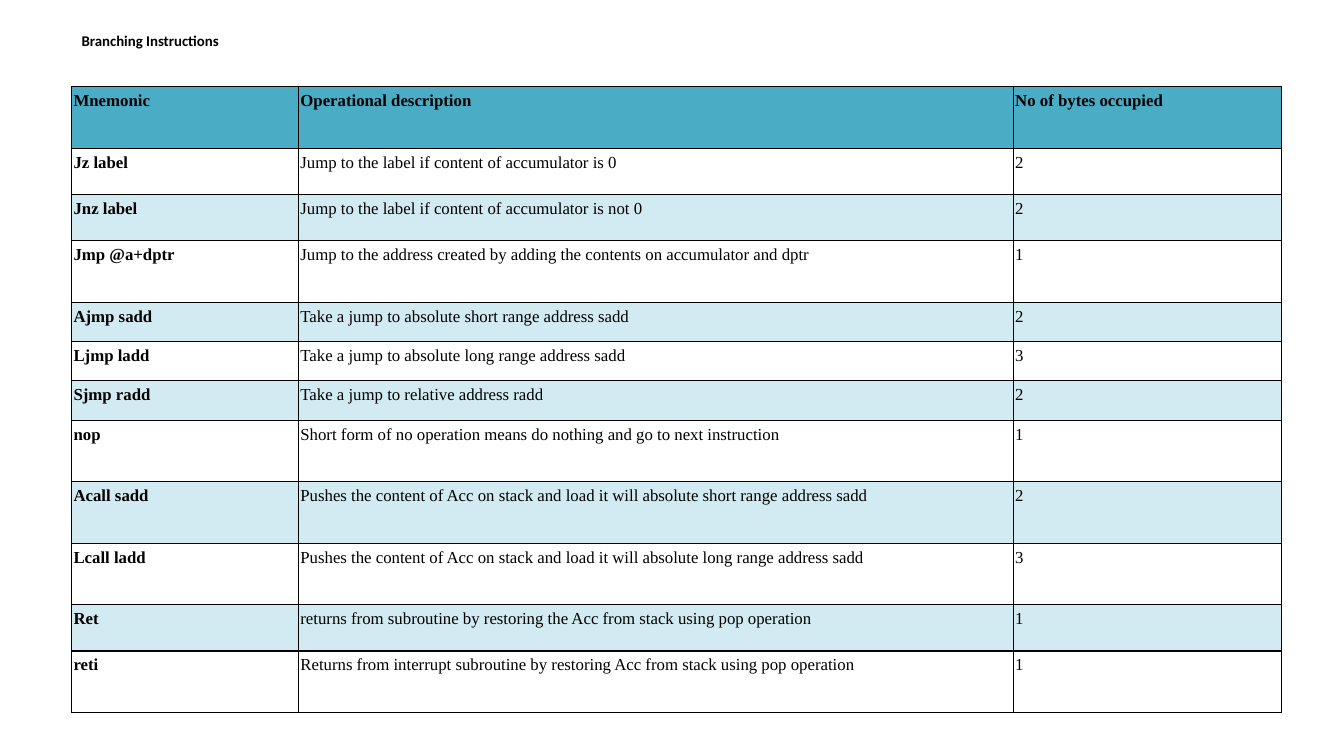
from dataclasses import dataclass

from lxml.etree import SubElement
from pptx import Presentation
from pptx.dml.color import RGBColor
from pptx.enum.text import MSO_ANCHOR, MSO_AUTO_SIZE, PP_ALIGN
from pptx.oxml.ns import qn
from pptx.slide import Slide
from pptx.table import _Cell as Cell
from pptx.text.text import TextFrame
from pptx.util import Inches, Pt


@dataclass(frozen=True)
class Theme:
    ink: str = "000000"
    header: str = "4BACC6"
    band: str = "D2EAF1"
    title_font: str = "Calibri"
    table_font: str = "Times New Roman"
    title_size: float = 10.6
    table_size: float = 12
    border_width: float = 0.96


@dataclass(frozen=True)
class Instruction:
    mnemonic: str
    description: str
    size: str
    height: float


THEME = Theme()
SHORT, MEDIUM, TALL = 0.39, 0.46, 0.61
COLUMN_WIDTHS = (2.25, 7.09, 2.66)
ROWS = (
    Instruction("Mnemonic", "Operational description", "No of bytes occupied", TALL),
    Instruction("Jz label", "Jump to the label if content of accumulator is 0", "2", MEDIUM),
    Instruction("Jnz label", "Jump to the label if content of accumulator is not 0", "2", MEDIUM),
    Instruction("Jmp @a+dptr", "Jump to the address created by adding the contents on accumulator and dptr",
                "1", TALL),
    Instruction("Ajmp sadd", "Take a jump to absolute short range address sadd", "2", SHORT),
    Instruction("Ljmp ladd", "Take a jump to absolute long range address sadd", "3", SHORT),
    Instruction("Sjmp radd", "Take a jump to relative address radd", "2", SHORT),
    Instruction("nop", "Short form of no operation means do nothing and go to next instruction", "1", TALL),
    Instruction("Acall sadd", "Pushes the content of Acc on stack and load it will absolute short range address sadd",
                "2", TALL),
    Instruction("Lcall ladd", "Pushes the content of Acc on stack and load it will absolute long range address sadd",
                "3", TALL),
    Instruction("Ret", "returns from subroutine by restoring the Acc from stack using pop operation", "1", MEDIUM),
    Instruction("reti", "Returns from interrupt subroutine by restoring Acc from stack using pop operation",
                "1", TALL),
)


def write_text(frame: TextFrame, text: str, *, font: str, size: float, bold: bool, align: PP_ALIGN) -> None:
    para = frame.paragraphs[0]
    para.alignment = align
    span = para.add_run()
    span.text = text
    span.font.name = font
    span.font.size = Pt(size)
    span.font.bold = bold
    span.font.color.rgb = RGBColor.from_string(THEME.ink)


def add_borders(cell: Cell) -> None:
    properties = cell._tc.get_or_add_tcPr()
    for side in ("a:lnL", "a:lnR", "a:lnT", "a:lnB"):
        line = SubElement(properties, qn(side), w=str(Pt(THEME.border_width)))
        fill = SubElement(line, qn("a:solidFill"))
        SubElement(fill, qn("a:srgbClr"), val=THEME.ink)


def format_cell(cell: Cell, text: str, *, bold: bool, fill: str | None) -> None:
    add_borders(cell)
    if fill:
        cell.fill.solid()
        cell.fill.fore_color.rgb = RGBColor.from_string(fill)
    else:
        cell.fill.background()
    cell.margin_left = cell.margin_right = Inches(0.02)
    cell.margin_top = cell.margin_bottom = Inches(0.05)
    write_text(cell.text_frame, text, font=THEME.table_font, size=THEME.table_size,
               bold=bold, align=PP_ALIGN.JUSTIFY)


def add_title(page: Slide) -> None:
    box = page.shapes.title
    box.left, box.top, box.width, box.height = map(Inches, (0.71, 0.1, 11.7, 0.77))
    frame = box.text_frame
    frame.word_wrap = True
    frame.auto_size = MSO_AUTO_SIZE.NONE
    frame.vertical_anchor = MSO_ANCHOR.MIDDLE
    frame.margin_left = frame.margin_right = Inches(0.1)
    frame.margin_top, frame.margin_bottom = Inches(0.05), Inches(0.19)
    write_text(frame, "Branching Instructions", font=THEME.title_font, size=THEME.title_size,
               bold=True, align=PP_ALIGN.LEFT)
    frame.paragraphs[0].line_spacing = 0.9


def row_fill(index: int) -> str | None:
    if index == 0:
        return THEME.header
    return THEME.band if index % 2 == 0 else None


def add_instruction_table(page: Slide) -> None:
    table = page.shapes.add_table(len(ROWS), len(COLUMN_WIDTHS), Inches(0.71), Inches(0.86),
                                  Inches(sum(COLUMN_WIDTHS)), Inches(sum(row.height for row in ROWS))).table
    table.first_row = table.horz_banding = False
    for column, width in zip(table.columns, COLUMN_WIDTHS):
        column.width = Inches(width)
    for index, row in enumerate(ROWS):
        table.rows[index].height = Inches(row.height)
        for column, text in enumerate((row.mnemonic, row.description, row.size)):
            format_cell(table.cell(index, column), text,
                        bold=index == 0 or column == 0, fill=row_fill(index))


def main() -> None:
    deck = Presentation()
    deck.slide_width, deck.slide_height = Inches(13.33), Inches(7.5)
    page = deck.slides.add_slide(deck.slide_layouts.get_by_name("Title Only"))
    add_title(page)
    add_instruction_table(page)
    deck.save("out.pptx")


if __name__ == "__main__":
    main()
